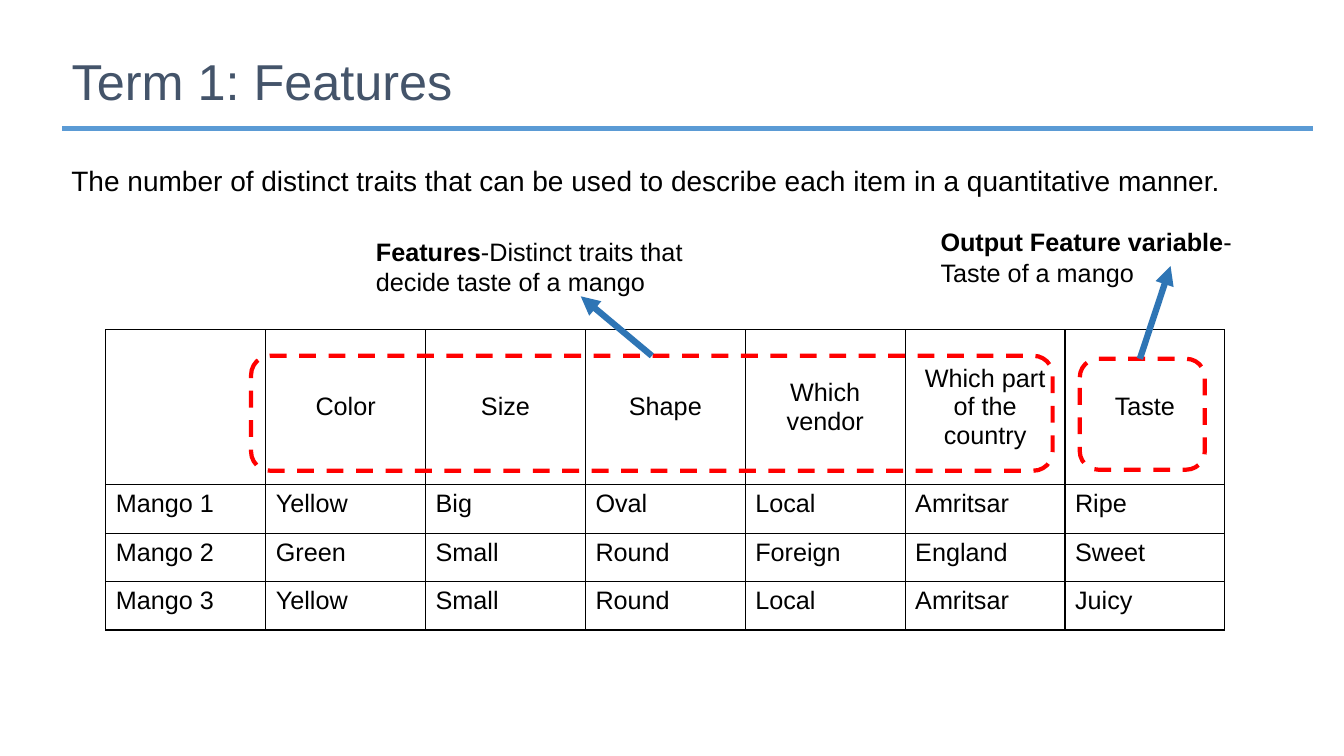
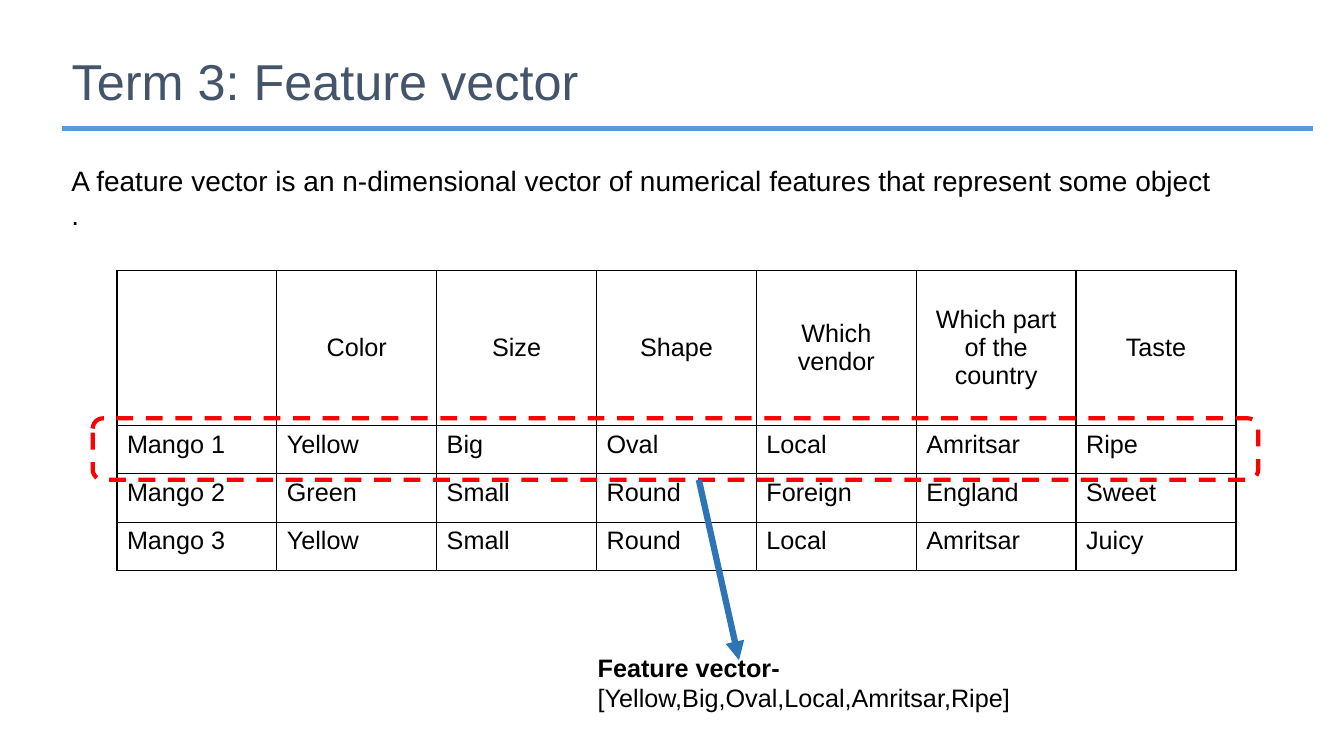
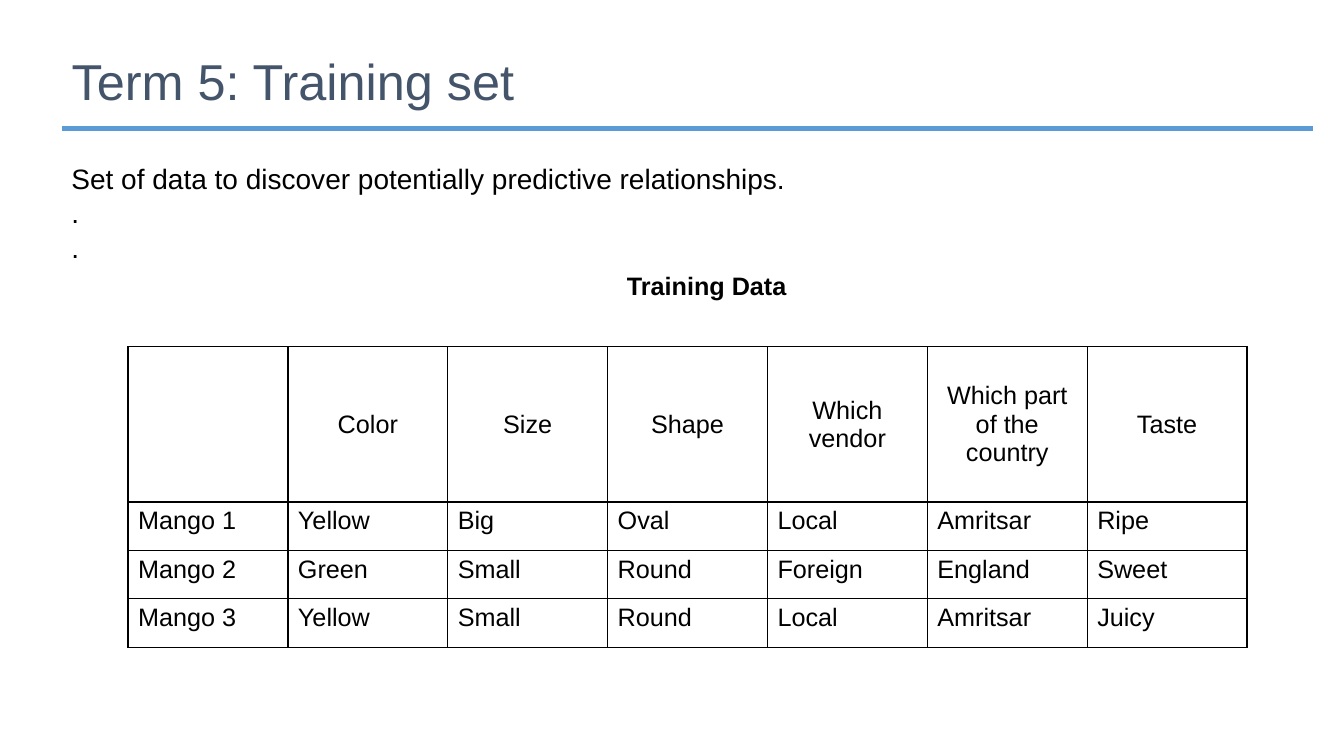
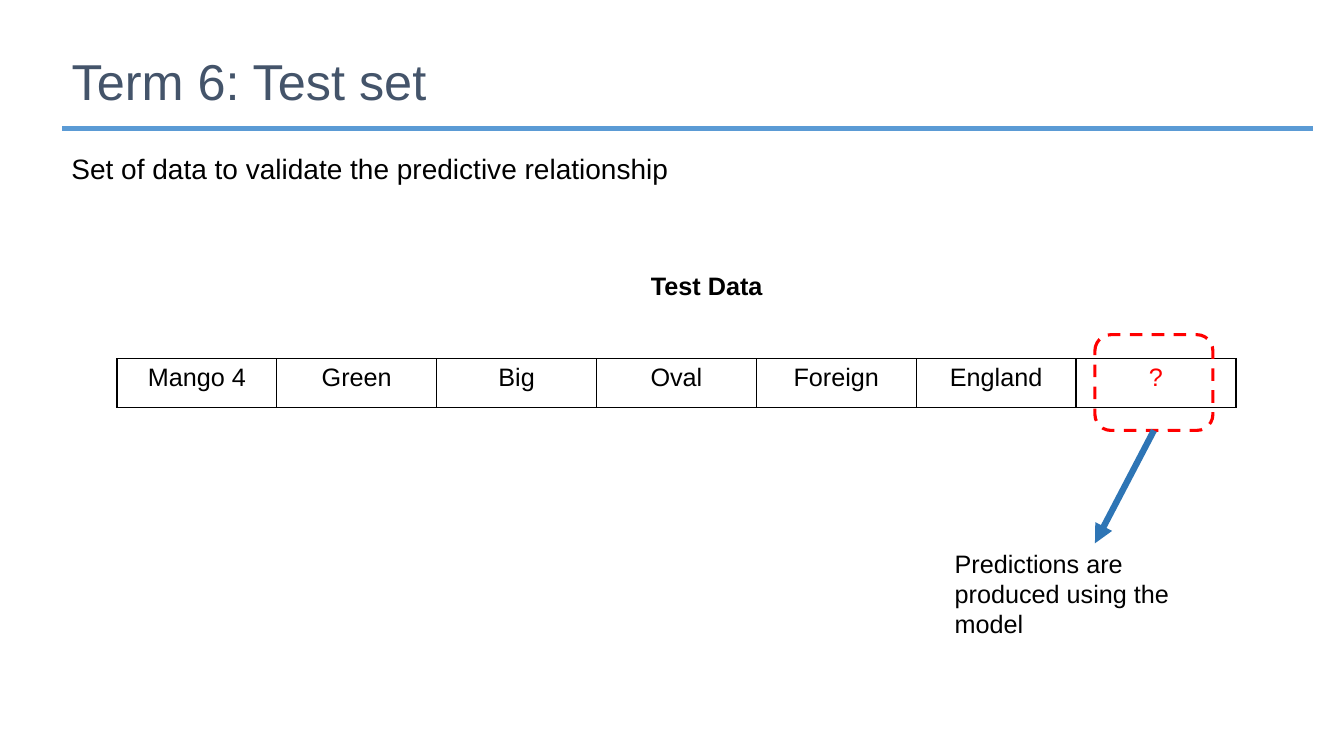
from dataclasses import dataclass

from lxml import etree
from pptx import Presentation
from pptx.dml.color import RGBColor
from pptx.enum.dml import MSO_LINE
from pptx.enum.shapes import MSO_CONNECTOR, MSO_SHAPE
from pptx.enum.text import MSO_ANCHOR, MSO_AUTO_SIZE, PP_ALIGN
from pptx.oxml.ns import qn
from pptx.util import Inches, Pt

LEFT, CENTER = PP_ALIGN.LEFT, PP_ALIGN.CENTER
TOP, MIDDLE = MSO_ANCHOR.TOP, MSO_ANCHOR.MIDDLE
NO_AUTOFIT = MSO_AUTO_SIZE.NONE
RECTANGLE, ROUNDED = MSO_SHAPE.RECTANGLE, MSO_SHAPE.ROUNDED_RECTANGLE
STRAIGHT = MSO_CONNECTOR.STRAIGHT
DASH = MSO_LINE.DASH
TITLE_ONLY = 5


@dataclass(frozen=True)
class Theme:
    font: str = "Arial"
    title_color: str = "44546A"
    text_color: str = "000000"
    rule_color: str = "5B9BD5"
    rule_edge: str = "FFFFFF"
    accent: str = "FF0000"
    arrow_color: str = "2E75B5"
    border: str = "000000"
    title_size: float = 36
    body_size: float = 20
    label_size: float = 18
    tight: float = 0.9
    arrow_width: float = 4.5


@dataclass(frozen=True)
class Box:
    """A rectangle in inches."""
    left: float
    top: float
    width: float
    height: float

    def lengths(self):
        return [Inches(v) for v in (self.left, self.top, self.width, self.height)]

    def inner(self, left, top, width, height):
        """A box placed from this box's top left corner."""
        return Box(self.left + left, self.top + top, width, height)

    def offset(self, x, y):
        return self.left + x, self.top + y

    def at(self, across, down):
        """The point at the given fractions of the width and height."""
        return self.left + across * self.width, self.top + down * self.height


THEME = Theme()
TITLE_BOX = Box(0.61, 0.3, 11, 1.07)
RULE_BOX = Box(0.61, 1.24, 12.42, 0.07)
CAPTION_BOX = Box(5.51, 2.63, 3, 0.4)
TABLE_WIDTH = 11.1
HEADER_HEIGHT = 1.54
ROW_HEIGHT = 0.48
TABLE_HEIGHT = HEADER_HEIGHT + 3 * ROW_HEIGHT

MANGOES = [
    ["", "Color", "Size", "Shape", "Which vendor", "Which part of the country", "Taste"],
    ["Mango 1", "Yellow", "Big", "Oval", "Local", "Amritsar", "Ripe"],
    ["Mango 2", "Green", "Small", "Round", "Foreign", "England", "Sweet"],
    ["Mango 3", "Yellow", "Small", "Round", "Local", "Amritsar", "Juicy"],
]
TEST_MANGO = [["Mango 4", "Green", "Big", "Oval", "Foreign", "England", "?"]]


def rgb(value):
    return RGBColor.from_string(value)


def write(paragraph, text, *, lead="", size=THEME.label_size, color=THEME.text_color,
          bold=False, align=LEFT, spacing=1.0, before=0):
    """Fill a paragraph; lead is a bold opening before the text."""
    paragraph.alignment = align
    paragraph.line_spacing = spacing
    paragraph.space_before = Pt(before)
    for part, is_bold in ((lead, True), (text, bold)):
        if part:
            run = paragraph.add_run()
            run.text = part
            run.font.name = THEME.font
            run.font.size = Pt(size)
            run.font.bold = is_bold
            run.font.color.rgb = rgb(color)


def add_text(slide, box, *lines, before=0, **text_format):
    frame = slide.shapes.add_textbox(*box.lengths()).text_frame
    frame.word_wrap = True
    frame.auto_size = NO_AUTOFIT
    for index, line in enumerate(lines):
        paragraph = frame.add_paragraph() if index else frame.paragraphs[0]
        write(paragraph, line, before=before if index else 0, **text_format)


# Title and rule shared by every slide
def add_term_slide(presentation, title):
    slide = presentation.slides.add_slide(presentation.slide_layouts[TITLE_ONLY])
    rule = slide.shapes.add_shape(RECTANGLE, *RULE_BOX.lengths())
    rule.shadow.inherit = False
    rule.fill.solid()
    rule.fill.fore_color.rgb = rgb(THEME.rule_color)
    rule.line.color.rgb = rgb(THEME.rule_edge)
    rule.line.width = Pt(1)

    heading = slide.shapes.title
    heading.left, heading.top, heading.width, heading.height = TITLE_BOX.lengths()
    frame = heading.text_frame
    frame.auto_size = NO_AUTOFIT
    frame.vertical_anchor = MIDDLE
    write(frame.paragraphs[0], title, size=THEME.title_size,
          color=THEME.title_color, spacing=THEME.tight)
    return slide


def add_definition(slide, top, height, *lines):
    add_text(slide, Box(0.61, top, 12.2, height), *lines,
             size=THEME.body_size, spacing=THEME.tight, before=3)


def add_caption(slide, text):
    add_text(slide, CAPTION_BOX, text, bold=True, align=CENTER)


# Table with thin black borders and no fill
def set_borders(cell):
    properties = cell._tc.get_or_add_tcPr()
    for side in ("lnL", "lnR", "lnT", "lnB"):
        line = etree.SubElement(properties, qn(f"a:{side}"), w=str(Pt(1)))
        fill = etree.SubElement(line, qn("a:solidFill"))
        etree.SubElement(fill, qn("a:srgbClr"), val=THEME.border)


def add_data_table(slide, box, rows, *, has_header=True, body_align=LEFT):
    table = slide.shapes.add_table(len(rows), len(rows[0]), *box.lengths()).table
    table.first_row = table.horz_banding = False
    for column in table.columns:
        column.width = Inches(box.width / len(rows[0]))
    for row_index, values in enumerate(rows):
        is_header = has_header and row_index == 0
        table.rows[row_index].height = Inches(HEADER_HEIGHT if is_header else ROW_HEIGHT)
        for column_index, value in enumerate(values):
            cell = table.cell(row_index, column_index)
            set_borders(cell)
            cell.fill.background()
            cell.vertical_anchor = MIDDLE if is_header else TOP
            write(cell.text_frame.paragraphs[0], value,
                  align=CENTER if is_header else body_align,
                  color=THEME.accent if value == "?" else THEME.text_color)


# Dashed frame and arrow that point out part of a table
def add_highlight(slide, box, width=3):
    frame = slide.shapes.add_shape(ROUNDED, *box.lengths())
    frame.shadow.inherit = False
    frame.fill.background()
    frame.line.color.rgb = rgb(THEME.accent)
    frame.line.width = Pt(width)
    frame.line.dash_style = DASH


def add_arrow(slide, start, end):
    points = [Inches(value) for value in (*start, *end)]
    arrow = slide.shapes.add_connector(STRAIGHT, *points)
    arrow.line.color.rgb = rgb(THEME.arrow_color)
    arrow.line.width = Pt(THEME.arrow_width)
    etree.SubElement(arrow.line._get_or_add_ln(), qn("a:tailEnd"), type="triangle")
    etree.SubElement(arrow._element.spPr, qn("a:effectLst"))


def build_features(presentation, table_box):
    slide = add_term_slide(presentation, "Term 1: Features")
    add_definition(slide, 1.61, 0.4, "The number of distinct traits that can be used to "
                   "describe each item in a quantitative manner.")
    add_data_table(slide, table_box, MANGOES)

    # Input features
    inputs = table_box.inner(1.44, 0.26, 7.95, 1.14)
    add_highlight(slide, inputs)
    add_text(slide, table_box.inner(2.58, -0.98, 3.42, 0.71),
             "-Distinct traits that decide taste of a mango", lead="Features")
    add_arrow(slide, inputs.at(0.5, 0), table_box.offset(4.71, -0.33))

    # Output feature
    output = table_box.inner(9.66, 0.29, 1.24, 1.1)
    add_highlight(slide, output)
    add_text(slide, table_box.inner(8.18, -1.07, 3.42, 0.71),
             "- Taste of a mango", lead="Output Feature variable")
    add_arrow(slide, output.at(0.48, 0), table_box.offset(10.56, -0.63))


def build_feature_vector(presentation, table_box):
    slide = add_term_slide(presentation, "Term 3: Feature vector")
    add_definition(slide, 1.61, 0.76, "A feature vector is an n-dimensional vector of "
                   "numerical features that represent some object", ".")
    add_data_table(slide, table_box, MANGOES)
    vector = table_box.inner(-0.24, 1.47, 11.56, 0.61)
    add_highlight(slide, vector)
    add_arrow(slide, vector.at(0.52, 1), table_box.offset(6.17, 3.87))
    add_text(slide, table_box.inner(4.67, 3.74, 5.25, 0.71),
             "[Yellow,Big,Oval,Local,Amritsar,Ripe]", lead="Feature vector- ")


def build_training_set(presentation, table_box):
    slide = add_term_slide(presentation, "Term 5: Training set")
    add_definition(slide, 1.59, 1.11, "Set of data to discover potentially predictive "
                   "relationships.", ".", ".")
    add_caption(slide, "Training Data")
    add_data_table(slide, table_box, MANGOES)


def build_test_set(presentation, table_box):
    slide = add_term_slide(presentation, "Term 6: Test set")
    add_definition(slide, 1.49, 0.4, "Set of data to validate the predictive relationship")
    add_data_table(slide, table_box, TEST_MANGO, has_header=False, body_align=CENTER)
    add_caption(slide, "Test Data")
    unknown = table_box.inner(9.7, -0.24, 1.17, 0.95)
    add_highlight(slide, unknown, width=2.25)
    add_arrow(slide, unknown.at(0.5, 1), table_box.offset(9.7, 1.83))
    add_text(slide, table_box.inner(8.21, 1.83, 2.89, 1.01),
             "Predictions are produced using the model")


def main():
    presentation = Presentation()
    presentation.slide_width = Inches(13.33)
    presentation.slide_height = Inches(7.5)
    build_features(presentation, Box(1.05, 3.27, TABLE_WIDTH, TABLE_HEIGHT))
    build_feature_vector(presentation, Box(1.16, 2.68, TABLE_WIDTH, TABLE_HEIGHT))
    build_training_set(presentation, Box(1.27, 3.44, TABLE_WIDTH, TABLE_HEIGHT))
    build_test_set(presentation, Box(1.16, 3.56, TABLE_WIDTH, ROW_HEIGHT))
    presentation.save("out.pptx")


if __name__ == "__main__":
    main()
